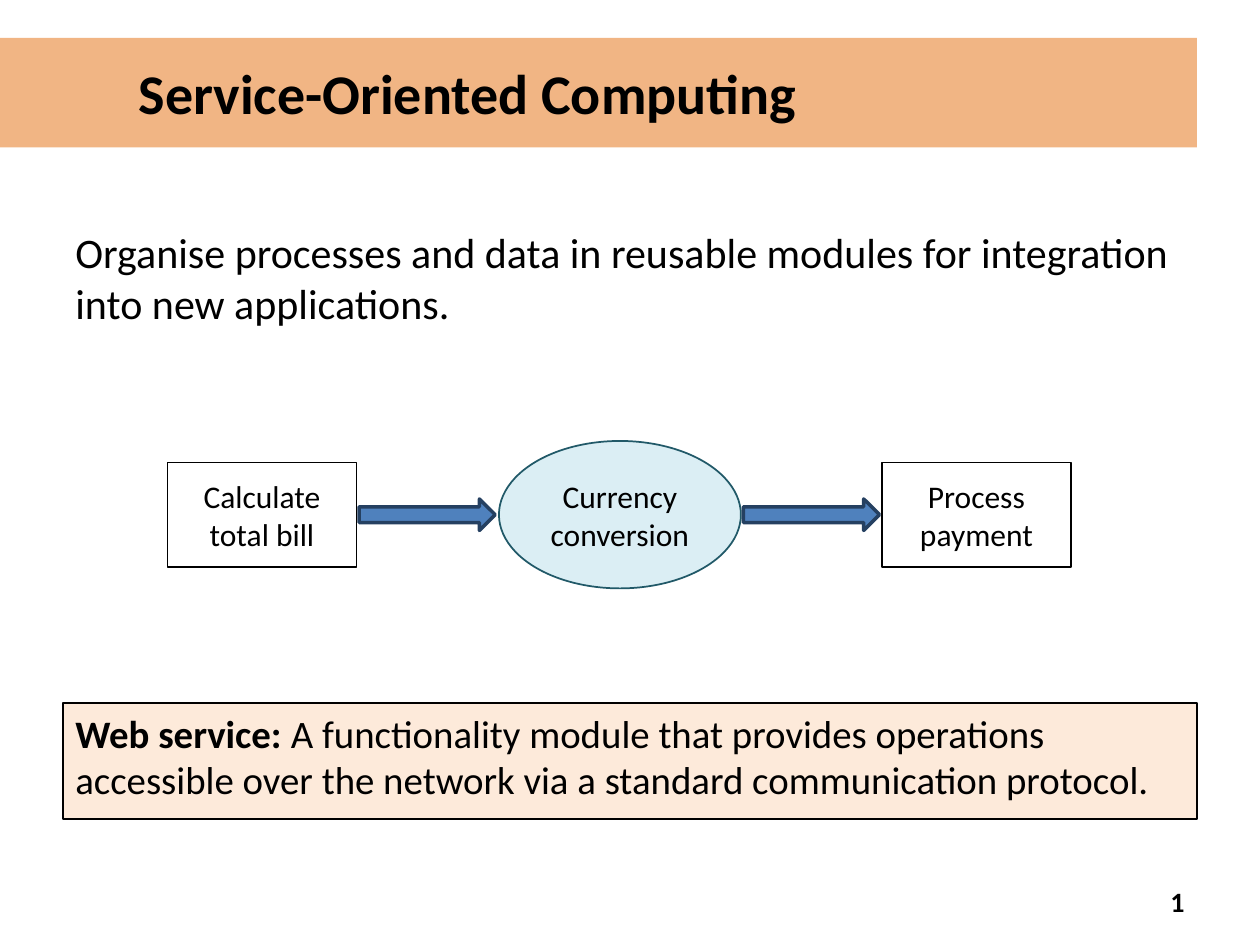
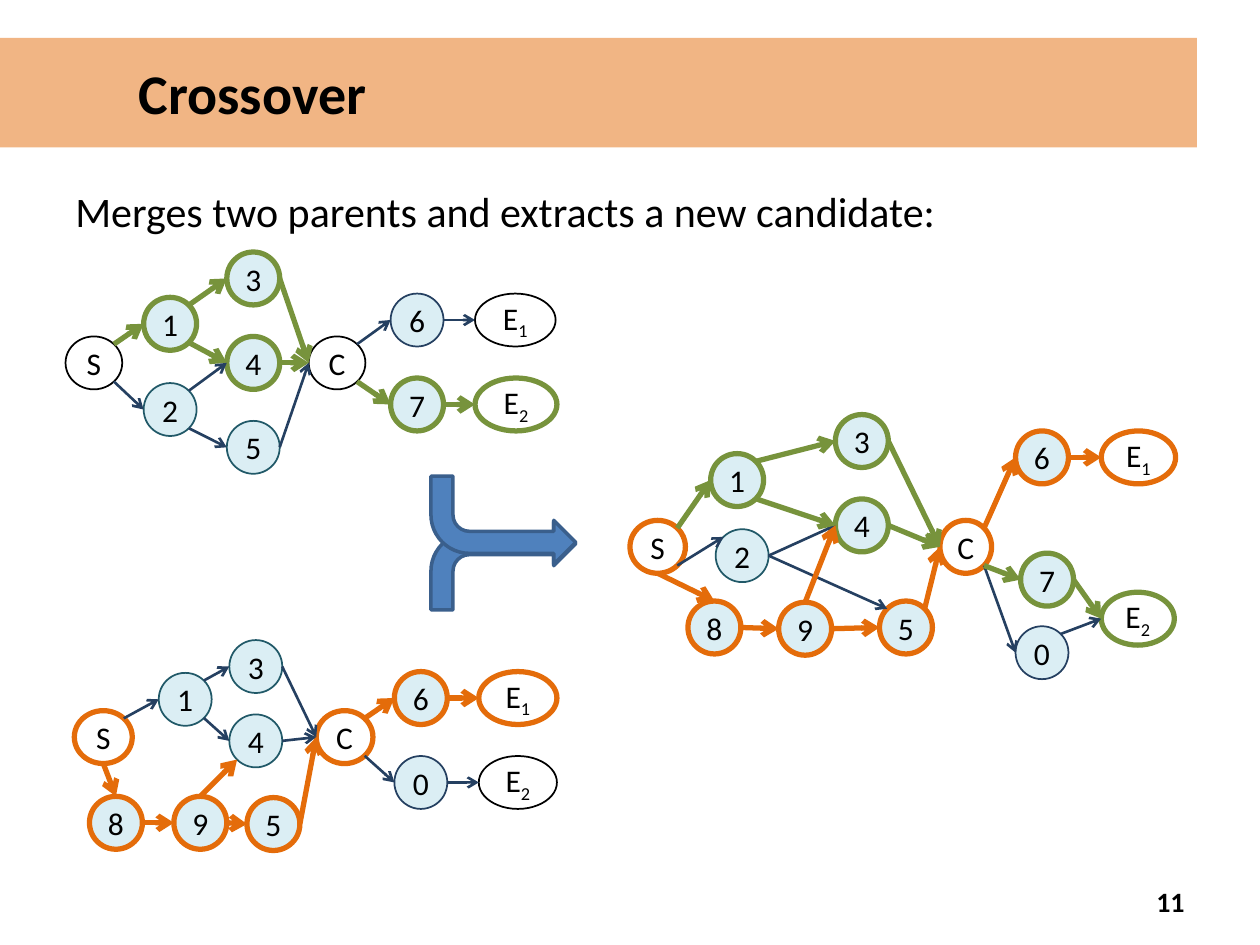
"""Builds two slides on service composition: a module pipeline and a crossover of graphs."""
import math
from lxml import etree
from pptx import Presentation
from pptx import util as u
from pptx.dml.color import RGBColor
from pptx.enum import shapes, text
from pptx.oxml import ns

FONT = "Calibri"
BLACK = RGBColor(0x00, 0x00, 0x00)
WHITE = RGBColor(0xFF, 0xFF, 0xFF)
ORANGE = RGBColor(0xE4, 0x6C, 0x0A)
PEACH = RGBColor(0xFD, 0xEA, 0xDA)
GREEN = RGBColor(0x77, 0x93, 0x3C)
NAVY = RGBColor(0x25, 0x40, 0x61)
TEAL = RGBColor(0x21, 0x59, 0x68)
PALE_BLUE = RGBColor(0xDB, 0xEE, 0xF4)
BLUE = RGBColor(0x4F, 0x81, 0xBD)
STEEL = RGBColor(0x3A, 0x5F, 0x8C)

PIPELINE_TITLE = "Service-Oriented Computing"
PIPELINE_INTRO = "Organise processes and data in reusable modules for integration into new applications."
DEFINITION = [
    ("Web service:", True),
    (" A functionality module that provides operations accessible over the network"
     " via a standard communication protocol.", False),
]
STEPS = [
    ("RECTANGLE", (1.33, 3.67, 1.5, 0.83), WHITE, BLACK, "Calculate\ntotal bill"),
    ("OVAL", (3.96, 3.5, 1.92, 1.17), PALE_BLUE, TEAL, "Currency\nconversion"),
    ("RECTANGLE", (7, 3.67, 1.5, 0.83), WHITE, BLACK, "Process\npayment"),
]
CROSSOVER_TITLE = "Crossover"
CROSSOVER_INTRO = "Merges two parents and extracts a new candidate:"

NODE_SIZE = 0.42
GRAPHS = [
    {
        "nodes": [
            ("S", 0.52, 2.67, 0.45, BLACK), ("1", 1.14, 2.36, NODE_SIZE, GREEN),
            ("2", 1.14, 3.04, NODE_SIZE, TEAL), ("3", 1.8, 2, NODE_SIZE, GREEN),
            ("4", 1.8, 2.67, NODE_SIZE, GREEN), ("5", 1.8, 3.34, NODE_SIZE, TEAL),
            ("C", 2.45, 2.67, 0.45, BLACK), ("6", 3.1, 2.33, NODE_SIZE, NAVY),
            ("7", 3.1, 3, NODE_SIZE, GREEN), ("E1", 3.77, 2.33, 0.64, BLACK),
            ("E2", 3.77, 3, 0.65, GREEN),
        ],
        "edges": {
            GREEN: ["S ne 1 w", "1 ne 3 w", "1 se 4 w", "4 e C w", "3 e C w",
                    "C se 7 w", "7 e E2 w"],
            NAVY: ["S se 2 w", "2 ne 4 w", "2 se 5 w", "5 e C w", "C ne 6 w", "6 e E1 w"],
        },
    },
    {
        "nodes": [
            ("S", 0.59, 5.64, 0.46, ORANGE), ("1", 1.26, 5.34, NODE_SIZE, TEAL),
            ("8", 0.71, 6.32, NODE_SIZE, ORANGE), ("3", 1.82, 5.08, NODE_SIZE, TEAL),
            ("4", 1.82, 5.67, NODE_SIZE, TEAL), ("9", 1.38, 6.32, NODE_SIZE, ORANGE),
            ("5", 1.96, 6.33, NODE_SIZE, ORANGE), ("C", 2.51, 5.64, 0.45, ORANGE),
            ("6", 3.13, 5.33, NODE_SIZE, ORANGE), ("0", 3.13, 6, NODE_SIZE, NAVY),
            ("E1", 3.8, 5.33, 0.62, ORANGE), ("E2", 3.8, 6, 0.62, BLACK),
        ],
        "edges": {
            NAVY: ["S ne 1 w", "1 ne 3 w", "1 se 4 w", "4 e C w", "3 e C w",
                   "C se 0 w", "0 e E2 w"],
            ORANGE: ["S s 8 n", "8 e 9 w", "9 e 5 w", "9 n 4 sw", "5 e C w",
                     "C ne 6 w", "6 e E1 w"],
        },
    },
    {
        "nodes": [
            ("S", 5, 4.13, 0.44, ORANGE), ("1", 5.64, 3.6, NODE_SIZE, GREEN),
            ("2", 5.68, 4.2, NODE_SIZE, TEAL), ("8", 5.46, 4.77, NODE_SIZE, ORANGE),
            ("3", 6.63, 3.29, NODE_SIZE, GREEN), ("4", 6.63, 3.96, NODE_SIZE, GREEN),
            ("9", 6.18, 4.78, NODE_SIZE, ORANGE), ("5", 6.98, 4.77, NODE_SIZE, ORANGE),
            ("C", 7.46, 4.13, 0.41, ORANGE), ("6", 8.06, 3.42, NODE_SIZE, ORANGE),
            ("7", 8.1, 4.39, NODE_SIZE, GREEN), ("0", 8.06, 4.97, NODE_SIZE, NAVY),
            ("E1", 8.74, 3.42, 0.59, ORANGE), ("E2", 8.74, 4.7, 0.58, GREEN),
        ],
        "edges": {
            NAVY: ["S se 2 nw", "2 e 4 w", "2 e 5 nw", "C se 0 w", "0 ne E2 w"],
            GREEN: ["S ne 1 w", "1 ne 3 w", "1 se 4 w", "4 e C w", "3 e C w",
                    "C se 7 w", "7 e E2 w"],
            ORANGE: ["S s 8 n", "8 e 9 w", "9 e 5 w", "9 n 4 w", "5 ne C w",
                     "C ne 6 w", "6 e E1 w"],
        },
    },
]
ANGLES = {site: math.radians(45 * turn)
          for turn, site in enumerate(["e", "se", "s", "sw", "w", "nw", "n", "ne"])}


def inches(values):
    return [u.Inches(value) for value in values]


def add_run(paragraph, content, size, bold=False):
    run = paragraph.add_run()
    run.text = content
    run.font.name, run.font.size, run.font.bold = FONT, u.Pt(size), bold
    run.font.color.rgb = BLACK
    return run


def add_text_box(slide, box, content, size, bold=False, align=text.PP_ALIGN.LEFT,
                 anchor=text.MSO_ANCHOR.TOP):
    frame = slide.shapes.add_textbox(*inches(box)).text_frame
    frame.word_wrap = True
    frame.vertical_anchor = anchor
    frame.paragraphs[0].alignment = align
    add_run(frame.paragraphs[0], content, size, bold)


def add_shape(slide, kind, box, fill, line, width):
    shape = slide.shapes.add_shape(shapes.MSO_SHAPE[kind], *inches(box))
    shape.shadow.inherit = False
    shape.fill.solid()
    shape.fill.fore_color.rgb = fill
    shape.line.color.rgb = line
    shape.line.width = u.Pt(width)
    return shape


def add_title_slide(presentation, title, number):
    slide = presentation.slides.add_slide(presentation.slide_layouts[5])
    band = slide.shapes.title
    band.left, band.top, band.width, band.height = inches((0, 0.3, 9.5, 0.87))
    band.fill.solid()
    band.fill.fore_color.rgb = ORANGE
    colour = band.fill._xPr.find(".//" + ns.qn("a:srgbClr"))
    etree.SubElement(colour, ns.qn("a:alpha"), val="50000")
    frame = band.text_frame
    frame.auto_size = text.MSO_AUTO_SIZE.NONE
    frame.vertical_anchor = text.MSO_ANCHOR.MIDDLE
    frame.margin_left = u.Inches(1.1)
    frame.paragraphs[0].alignment = text.PP_ALIGN.LEFT
    add_run(frame.paragraphs[0], title, 32, True)
    add_text_box(slide, (7.17, 6.95, 2.33, 0.4), number, 16, True,
                 text.PP_ALIGN.RIGHT, text.MSO_ANCHOR.MIDDLE)
    return slide


def add_step(slide, kind, box, fill, line, label):
    frame = add_shape(slide, kind, box, fill, line, 1).text_frame
    paragraph = frame.paragraphs[0]
    paragraph.alignment = text.PP_ALIGN.CENTER
    for index, part in enumerate(label.split("\n")):
        if index:
            paragraph.add_line_break()
        add_run(paragraph, part, 18)


def add_node(slide, name, left, top, width, line):
    fill = PALE_BLUE if name.isdigit() else WHITE
    weight = 3 if line in (GREEN, ORANGE) else 1
    frame = add_shape(slide, "OVAL", (left, top, width, NODE_SIZE), fill, line, weight).text_frame
    frame.word_wrap = False
    frame.margin_left = frame.margin_right = frame.margin_top = frame.margin_bottom = 0
    paragraph = frame.paragraphs[0]
    paragraph.alignment = text.PP_ALIGN.CENTER
    add_run(paragraph, name[0], 18)
    if name[1:]:
        add_run(paragraph, name[1:], 18).font._element.set("baseline", "-25000")


def site_point(node, site):
    name, left, top, width, line = node
    angle = ANGLES[site]
    return (left + width / 2 * (1 + math.cos(angle)),
            top + NODE_SIZE / 2 * (1 + math.sin(angle)))


def add_edge(slide, start, end, colour):
    connector = slide.shapes.add_connector(shapes.MSO_CONNECTOR.STRAIGHT, *inches(start + end))
    connector.line.color.rgb = colour
    connector.line.width = u.Pt(1.5 if colour == NAVY else 3)
    etree.SubElement(connector.line._get_or_add_ln(), ns.qn("a:tailEnd"), type="arrow")
    etree.SubElement(connector._element.spPr, ns.qn("a:effectLst"))


def add_graph(slide, graph):
    nodes = {node[0]: node for node in graph["nodes"]}
    for node in graph["nodes"]:
        add_node(slide, *node)
    for colour, edges in graph["edges"].items():
        for edge in edges:
            source, exit_site, target, entry_site = edge.split()
            add_edge(slide, site_point(nodes[source], exit_site),
                     site_point(nodes[target], entry_site), colour)


def build_pipeline(presentation):
    slide = add_title_slide(presentation, PIPELINE_TITLE, "1")
    add_text_box(slide, (0.5, 1.75, 9, 0.92), PIPELINE_INTRO, 24)
    frame = add_shape(slide, "RECTANGLE", (0.5, 5.58, 9, 0.92), PEACH, BLACK, 0.75).text_frame
    frame.vertical_anchor = text.MSO_ANCHOR.TOP
    frame.paragraphs[0].alignment = text.PP_ALIGN.LEFT
    for content, bold in DEFINITION:
        add_run(frame.paragraphs[0], content, 22.2, bold)
    for step in STEPS:
        add_step(slide, *step)
    for step in STEPS[:-1]:
        left, top, width, height = step[1]
        add_shape(slide, "RIGHT_ARROW", (left + width + 0.02, 3.96, 1.08, 0.25), BLUE, NAVY, 2)


def build_crossover(presentation):
    slide = add_title_slide(presentation, CROSSOVER_TITLE, "11")
    add_text_box(slide, (0.5, 1.42, 9, 0.58), CROSSOVER_INTRO, 24)
    for graph in GRAPHS:
        add_graph(slide, graph)
    for top, flipped in [(4.14, "0"), (3.78, "1")]:
        arrow = add_shape(slide, "BENT_ARROW", (3.42, top, 1.15, 0.7), BLUE, STEEL, 2)
        arrow._element.spPr.find(ns.qn("a:xfrm")).set("flipV", flipped)


def main():
    presentation = Presentation()
    presentation.slide_width, presentation.slide_height = inches((10, 7.5))
    build_pipeline(presentation)
    build_crossover(presentation)
    presentation.save("out.pptx")


main()
